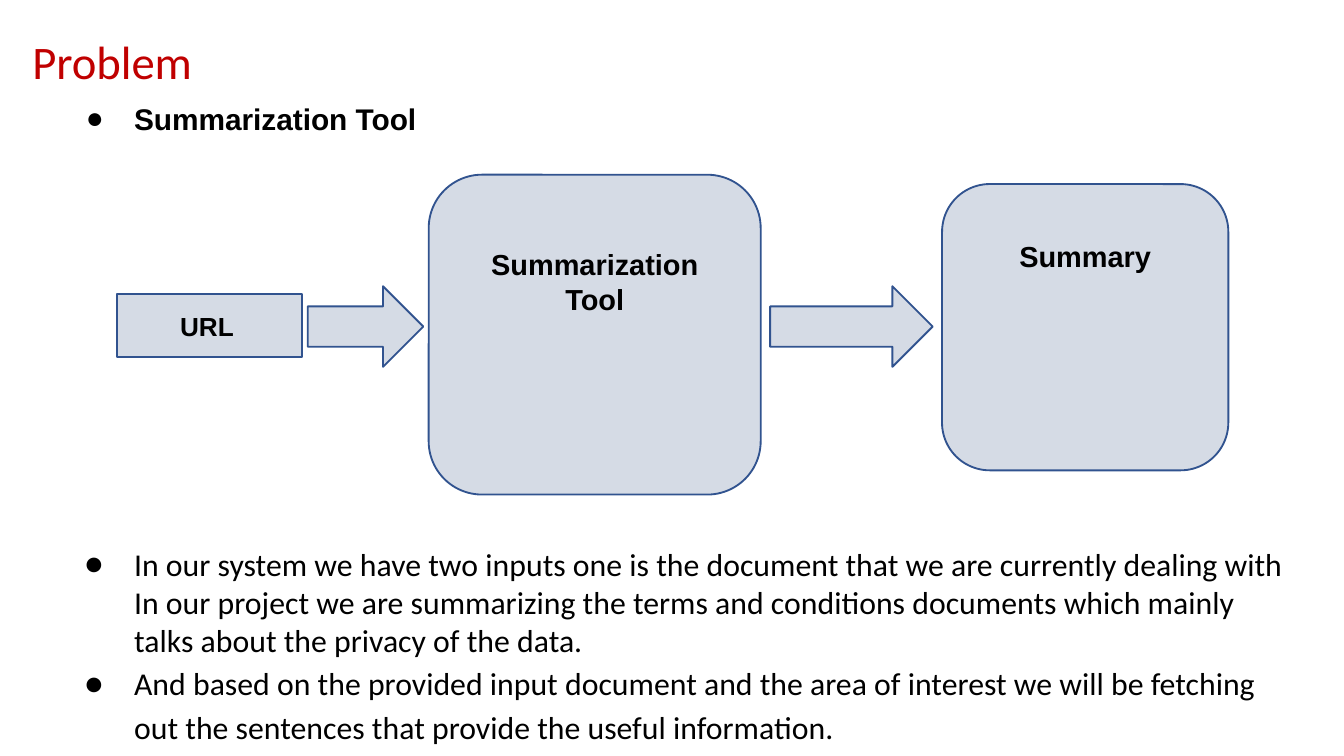
import dataclasses

import pptx
import pptx.dml.color
import pptx.enum.shapes
import pptx.enum.text
import pptx.oxml
import pptx.oxml.ns
import pptx.util

Inches = pptx.util.Inches
Align = pptx.enum.text.PP_ALIGN
Anchor = pptx.enum.text.MSO_ANCHOR
Shape = pptx.enum.shapes.MSO_SHAPE


@dataclasses.dataclass(frozen=True)
class Theme:
    title: str = "C00000"
    text: str = "000000"
    fill: str = "D5DBE5"
    line: str = "31538F"
    heading_font: str = "Arial"
    body_font: str = "Calibri"
    title_size: float = 25
    heading_size: float = 16
    body_size: float = 17
    stage_size: float = 15.5
    input_size: float = 14


THEME = Theme()


def rgb(value):
    return pptx.dml.color.RGBColor.from_string(value)


def apply(target, values):
    for name, value in values.items():
        setattr(target, name, value)


def format_frame(frame, anchor=Anchor.TOP, left=0.1, top=0.1, right=0.1, bottom=0.1):
    apply(frame, {
        "word_wrap": True,
        "auto_size": pptx.enum.text.MSO_AUTO_SIZE.NONE,
        "vertical_anchor": anchor,
        "margin_left": Inches(left),
        "margin_top": Inches(top),
        "margin_right": Inches(right),
        "margin_bottom": Inches(bottom),
    })


def write(para, text, font, size, color=THEME.text, bold=False):
    span = para.add_run()
    span.text = text
    apply(span.font, {"name": font, "size": pptx.util.Pt(size), "bold": bold})
    span.font.color.rgb = rgb(color)


def add_bullet(para, hanging, font):
    properties = para._p.get_or_add_pPr()
    properties.set("marL", str(Inches(0.5)))
    properties.set("indent", str(-Inches(hanging)))
    namespace = pptx.oxml.ns.nsdecls("a")
    for xml in (
        f'<a:buClr {namespace}><a:srgbClr val="{THEME.text}"/></a:buClr>',
        f'<a:buFont {namespace} typeface="{font}"/>',
        f'<a:buChar {namespace} char="●"/>',
    ):
        properties.append(pptx.oxml.parse_xml(xml))


def place_title(page, text, left, top, width, height):
    title = page.shapes.title
    apply(title, {"left": Inches(left), "top": Inches(top),
                  "width": Inches(width), "height": Inches(height)})
    format_frame(title.text_frame)
    para = title.text_frame.paragraphs[0]
    apply(para, {"alignment": Align.LEFT, "line_spacing": 1.15,
                 "space_before": pptx.util.Pt(3.8)})
    write(para, text, THEME.body_font, THEME.title_size, THEME.title)


def place_bullets(page, items, left, top, width, height, hanging, font, **style):
    """Each item is a pair of text and line spacing."""
    box = page.shapes.add_textbox(*map(Inches, (left, top, width, height)))
    frame = box.text_frame
    format_frame(frame)
    for index, (text, spacing) in enumerate(items):
        para = frame.paragraphs[0] if index == 0 else frame.add_paragraph()
        para.line_spacing = spacing
        add_bullet(para, hanging, font)
        write(para, text, font, **style)


def add_block(page, kind, left, top, width, height):
    block = page.shapes.add_shape(kind, *map(Inches, (left, top, width, height)))
    block.shadow.inherit = False
    block.fill.solid()
    block.fill.fore_color.rgb = rgb(THEME.fill)
    block.line.color.rgb = rgb(THEME.line)
    block.line.width = pptx.util.Pt(1)
    return block


def label_block(block, text, size, alignment, **frame_format):
    format_frame(block.text_frame, **frame_format)
    para = block.text_frame.paragraphs[0]
    para.alignment = alignment
    write(para, text, THEME.heading_font, size, bold=True)


def place_flow(page, left, top):
    """Input, tool and summary joined by two arrows."""
    for x, y, width, height, text, inset in (
        (6.14, 0.07, 2.13, 2.13, "Summary", 0.3),
        (2.32, 0, 2.47, 2.38, "Summarization Tool", 0.42),
    ):
        stage = add_block(page, Shape.ROUNDED_RECTANGLE, left + x, top + y, width, height)
        label_block(stage, text, THEME.stage_size, Align.CENTER,
                    left=0.25, top=inset, right=0.25)

    source = add_block(page, Shape.RECTANGLE, left, top + 0.89, 1.38, 0.47)
    label_block(source, "URL", THEME.input_size, Align.LEFT, anchor=Anchor.MIDDLE, left=0.47)

    for x, width in ((1.42, 0.86), (4.86, 1.21)):
        add_block(page, Shape.RIGHT_ARROW, left + x, top + 0.83, width, 0.6)


def main():
    deck = pptx.Presentation()
    page_width = Inches(10)
    apply(deck, {"slide_width": page_width, "slide_height": page_width * 9 // 16})
    page = deck.slides.add_slide(deck.slide_layouts.get_by_name("Title Only"))

    place_title(page, "Problem", 0.14, 0.08, 10.29, 0.47)
    place_bullets(page, [("Summarization Tool", 1)], 0.4, 0.65, 9.36, 0.5, 0.36,
                  font=THEME.heading_font, size=THEME.heading_size, bold=True)
    place_flow(page, 0.87, 1.3)
    place_bullets(page, [
        ("In our system we have two inputs one is the document that we are currently "
         "dealing with In our project we are summarizing the terms and conditions "
         "documents which mainly talks about the privacy of the data.", 1),
        ("And based on the provided input document and the area of interest we will be "
         "fetching out the sentences that provide the useful information.", 1.15),
    ], 0.4, 3.95, 9.36, 1.65, 0.37, font=THEME.body_font, size=THEME.body_size)

    deck.save("out.pptx")


if __name__ == "__main__":
    main()
